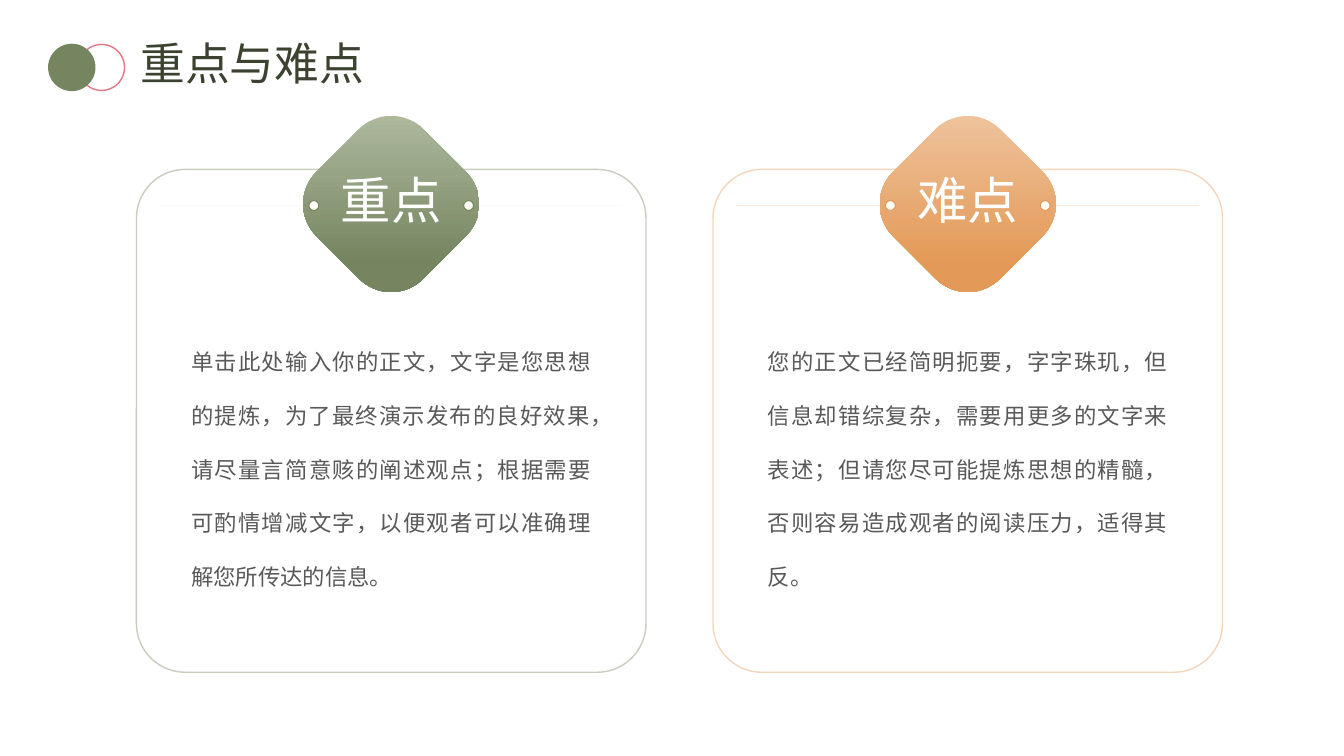
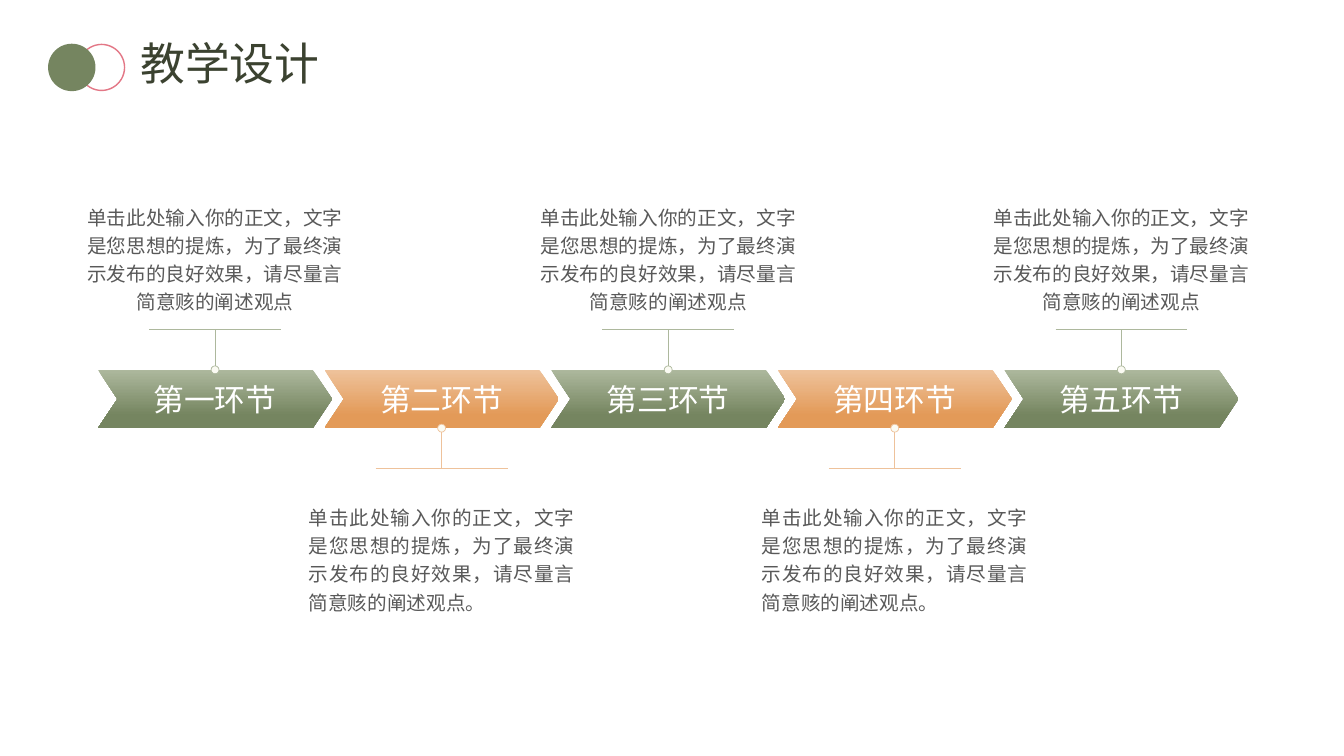
from math import cos, radians, sin, tan

from lxml.etree import SubElement
from pptx import Presentation
from pptx.dml.color import RGBColor
from pptx.enum.lang import MSO_LANGUAGE_ID as Language
from pptx.enum.shapes import MSO_CONNECTOR as Connector, MSO_SHAPE as Preset
from pptx.enum.text import MSO_ANCHOR as Anchor, PP_ALIGN as Align
from pptx.oxml.ns import qn
from pptx.util import Cm, Pt

FONT = "Noto Sans CJK SC"
GREEN, LIGHT_GREEN = "758560", "ADB89D"
ORANGE, LIGHT_ORANGE = "E39A58", "EEC29B"
PINK, DARK, GREY, WHITE = "E37786", "3B4230", "595959", "FFFFFF"
CREAM, IVORY = "FFFDF8", "FBFBF3"

CARD_TOP, CARD_WIDTH, CARD_HEIGHT = 4.27, 12.84, 12.67
GEM_MIDDLE, GEM_OFFSET, GEM_RADIUS = 5.14, 1.08, 1.14
RAIL_Y, RAIL_START, RAIL_END = 5.18, 1.95, 5.83
STEP_LEFT, STEP_PITCH = 2.47, 5.71
STEP_TOP, STEP_WIDTH, STEP_HEIGHT = 9.32, 5.9, 1.47
STEM, BAR_WIDTH, DOT = 1.01, 3.32, 0.2
NOTE_WIDTH, NOTE_HEIGHT = 6.7, 2.84

FOCUS_TEXT = (
    "单击此处输入你的正文，文字是您思想的提炼，为了最终演示发布的良好效果，"
    "请尽量言简意赅的阐述观点；根据需要可酌情增减文字，"
    "以便观者可以准确理解您所传达的信息。"
)
HARD_TEXT = (
    "您的正文已经简明扼要，字字珠玑，但信息却错综复杂，需要用更多的文字来表述；"
    "但请您尽可能提炼思想的精髓，否则容易造成观者的阅读压力，适得其反。"
)
NOTE_TEXT = (
    "单击此处输入你的正文，文字是您思想的提炼，为了最终演示发布的良好效果，"
    "请尽量言简意赅的阐述观点"
)
STEPS = ["第一环节", "第二环节", "第三环节", "第四环节", "第五环节"]


def color(value):
    return RGBColor.from_string(value)


def set_opacity(shape, percent):
    outline = shape.element.spPr.find(qn("a:ln"))
    for tint in outline.iter(qn("a:srgbClr")):
        SubElement(tint, qn("a:alpha")).set("val", str(percent * 1000))


def write(shape, text, size, tint, align, spacing=None):
    shape.text_frame.text = text
    para = shape.text_frame.paragraphs[0]
    para.alignment = align
    if spacing:
        para.line_spacing = spacing
    for span in para.runs:
        span.font.size = Pt(size)
        span.font.name = FONT
        span.font.color.rgb = color(tint)
        span.font.language_id = Language.SIMPLIFIED_CHINESE
    for props in shape.element.iter(qn("a:rPr")):
        SubElement(props, qn("a:ea")).set("typeface", FONT)


def add_text(page, left, top, width, height, text, size, tint, align, spacing=None):
    box = page.shapes.add_textbox(Cm(left), Cm(top), Cm(width), Cm(height))
    frame = box.text_frame
    frame.word_wrap = True
    frame.margin_left = frame.margin_right = 0
    frame.margin_top = frame.margin_bottom = 0
    write(box, text, size, tint, align, spacing)


def add_preset(page, preset, left, top, width, height, fill=None, line=None, weight=1):
    shape = page.shapes.add_shape(preset, Cm(left), Cm(top), Cm(width), Cm(height))
    shape.shadow.inherit = False
    if fill:
        shape.fill.solid()
        shape.fill.fore_color.rgb = color(fill)
    else:
        shape.fill.background()
    if line:
        shape.line.color.rgb = color(line)
        shape.line.width = Pt(weight)
    else:
        shape.line.fill.background()
    return shape


def add_circle(page, center, middle, size, fill, line, weight):
    return add_preset(page, Preset.OVAL, center - size / 2, middle - size / 2,
                      size, size, fill, line, weight)


def add_line(page, x1, y1, x2, y2, tint, weight):
    line = page.shapes.add_connector(
        Connector.STRAIGHT, Cm(x1), Cm(y1), Cm(x2), Cm(y2))
    line.line.color.rgb = color(tint)
    line.line.width = Pt(weight)
    SubElement(line.element.spPr, qn("a:effectLst"))
    return line


def shade(shape, light, dark, end):
    shape.fill.gradient()
    shape.fill.gradient_angle = 270
    for stop, tint, position in zip(shape.fill.gradient_stops, (light, dark), (0, end)):
        stop.color.rgb = color(tint)
        stop.position = position


def corner_points(center, side):
    x = center + GEM_OFFSET * cos(radians(side))
    y = GEM_MIDDLE + GEM_OFFSET * sin(radians(side))
    handle = 4 / 3 * tan(radians(45 / 4))
    points = []
    for turn, shift in ((-45, 0), (-45, handle), (0, -handle), (0, 0),
                        (0, handle), (45, -handle), (45, 0)):
        angle = radians(side + turn)
        points.append((Cm(x + GEM_RADIUS * (cos(angle) - shift * sin(angle))),
                       Cm(y + GEM_RADIUS * (sin(angle) + shift * cos(angle)))))
    return points


def round_corners(shape):
    outline = next(shape.element.iter(qn("a:path")))
    nodes = list(outline)
    for corner in range(0, 28, 7):
        for first in (corner + 1, corner + 4):
            curve = outline.makeelement(qn("a:cubicBezTo"))
            nodes[first].addprevious(curve)
            for node in nodes[first:first + 3]:
                curve.append(node[0])
                outline.remove(node)


def add_gem(page, center, light, dark):
    points = [point for side in (0, 90, 180, 270)
              for point in corner_points(center, side)]
    builder = page.shapes.build_freeform(*points[0])
    builder.add_line_segments(points[1:], close=True)
    gem = builder.convert_to_shape()
    round_corners(gem)
    gem.shadow.inherit = False
    gem.line.fill.background()
    shade(gem, light, dark, 0.83)


def add_card(page, left, label, text, light, dark, rail_opacity):
    center = left + CARD_WIDTH / 2
    card = add_preset(page, Preset.ROUNDED_RECTANGLE, left, CARD_TOP,
                      CARD_WIDTH, CARD_HEIGHT, line=dark)
    card.adjustments[0] = 0.097
    set_opacity(card, 40)
    add_gem(page, center, light, dark)
    add_text(page, center - 1.83, CARD_TOP, 3.66, 1.55, label, 36, WHITE, Align.CENTER)
    add_text(page, left + 1.38, 8.1, 10.08, 6.65, text, 16, GREY, Align.JUSTIFY, 2)
    for side in (1, -1):
        rail = add_line(page, center + side * RAIL_START, RAIL_Y,
                        center + side * RAIL_END, RAIL_Y, dark, 0.75)
        set_opacity(rail, rail_opacity)
        add_circle(page, center + side * RAIL_START, RAIL_Y, 0.25, CREAM, dark, 0.75)


def add_step(page, index, label):
    above = index % 2 == 0
    light, dark = (LIGHT_GREEN, GREEN) if above else (LIGHT_ORANGE, ORANGE)
    left = STEP_LEFT + index * STEP_PITCH
    center = left + STEP_WIDTH / 2
    chevron = add_preset(page, Preset.CHEVRON, left, STEP_TOP, STEP_WIDTH, STEP_HEIGHT)
    chevron.adjustments[0] = 0.332
    shade(chevron, light, dark, 0.78)
    chevron.text_frame.word_wrap = False
    chevron.text_frame.vertical_anchor = Anchor.MIDDLE
    write(chevron, label, 22, WHITE, Align.CENTER)

    if above:
        edge, direction, note_top = STEP_TOP, -1, 5.06
        note, align = NOTE_TEXT, Align.CENTER
    else:
        edge, direction, note_top = STEP_TOP + STEP_HEIGHT, 1, 12.63
        note, align = NOTE_TEXT + "。", Align.JUSTIFY
    bar = edge + direction * STEM
    add_text(page, center - NOTE_WIDTH / 2, note_top, NOTE_WIDTH, NOTE_HEIGHT,
             note, 14, GREY, align, 1.2)
    add_circle(page, center, edge, DOT, IVORY, light, 0.5)
    add_line(page, center - BAR_WIDTH / 2, bar, center + BAR_WIDTH / 2, bar, light, 0.5)
    add_line(page, center, bar, center, edge + direction * DOT / 2, light, 0.5)


def style_layout(layout, page):
    title = next(iter(layout.placeholders))
    title.left, title.top = Cm(3.28), Cm(0.89)
    title.width, title.height = Cm(12.78), Cm(1.55)
    title.text_frame.vertical_anchor = Anchor.MIDDLE
    circles = [add_circle(page, 2.56, 1.7, 1.16, None, PINK, 1),
               add_circle(page, 1.81, 1.7, 1.16, GREEN, GREEN, 1)]
    for position, circle in enumerate(circles, 2):
        layout.shapes.element.insert(position, circle.element)


def add_page(deck, layout, title):
    page = deck.slides.add_slide(layout)
    write(page.shapes.title, title, 32, DARK, Align.LEFT, 0.9)
    return page


def main():
    deck = Presentation()
    deck.slide_width, deck.slide_height = Cm(33.87), Cm(19.05)
    layout = deck.slide_layouts[5]

    page = add_page(deck, layout, "重点与难点")
    style_layout(layout, page)
    add_card(page, 3.44, "重点", FOCUS_TEXT, LIGHT_GREEN, GREEN, 2)
    add_card(page, 17.97, "难点", HARD_TEXT, LIGHT_ORANGE, ORANGE, 20)

    page = add_page(deck, layout, "教学设计")
    for index, label in enumerate(STEPS):
        add_step(page, index, label)

    deck.save("out.pptx")


if __name__ == "__main__":
    main()
